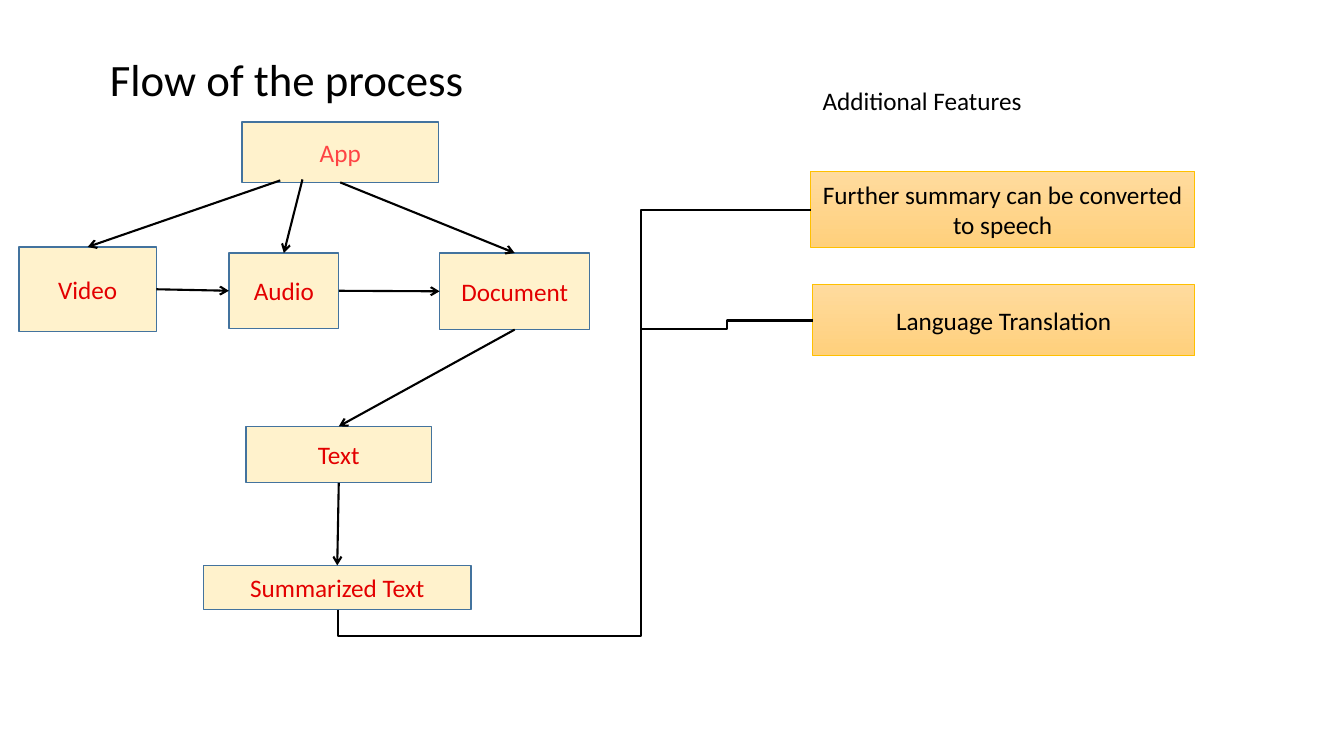
import lxml.etree
import pptx
import pptx.dml.color
import pptx.enum.shapes
import pptx.enum.text
import pptx.oxml.ns
import pptx.util

CELL = pptx.util.Inches(0.1)
COLUMNS, ROWS = 133.3, 75
ELBOW = pptx.enum.shapes.MSO_CONNECTOR.ELBOW
STRAIGHT = pptx.enum.shapes.MSO_CONNECTOR.STRAIGHT
TOP, LEFT, BOTTOM, RIGHT = range(4)
INK = "000000"


def cells(*counts):
    """Turn grid counts into lengths."""
    return [round(count * CELL) for count in counts]


def within(region, box):
    """Shift a box from its region's corner to the slide's."""
    left, top, width, height = box
    return cells(region[0] + left, region[1] + top, width, height)


def color(value):
    """Turn a hex string into a colour."""
    return pptx.dml.color.RGBColor.from_string(value)


def write(shape, text, size=18, ink=INK, align="LEFT", anchor="TOP", indent=1):
    """Put one formatted paragraph into a shape."""
    frame = shape.text_frame
    frame.word_wrap = True
    frame.auto_size = pptx.enum.text.MSO_AUTO_SIZE.NONE
    frame.vertical_anchor = getattr(pptx.enum.text.MSO_ANCHOR, anchor)
    frame.margin_left = cells(indent)[0]
    para = frame.paragraphs[0]
    para.alignment = getattr(pptx.enum.text.PP_ALIGN, align)
    span = para.add_run()
    span.text = text
    span.font.name = "Calibri"
    span.font.size = pptx.util.Pt(size)
    span.font.color.rgb = color(ink)


def add_box(slide, bounds, text, fills, edge, weight, ink):
    """Draw a labelled rectangle with a plain or shaded fill."""
    shape = slide.shapes.add_shape(pptx.enum.shapes.MSO_SHAPE.RECTANGLE, *bounds)
    shape.shadow.inherit = False
    if len(fills) == 1:
        shape.fill.solid()
        shape.fill.fore_color.rgb = color(fills[0])
    else:
        shape.fill.gradient()
        shape.fill.gradient_angle = 270
        for stop, value in zip(shape.fill.gradient_stops, fills):
            stop.color.rgb = color(value)
    shape.line.color.rgb = color(edge)
    shape.line.width = pptx.util.Pt(weight)
    write(shape, text, ink=ink, align="CENTER", anchor="MIDDLE")
    return shape


def add_line(slide, kind, start, end, arrow=False):
    """Draw a black connector, with an open arrowhead if asked."""
    line = slide.shapes.add_connector(kind, *cells(*start, *end))
    line.line.color.rgb = color(INK)
    line.line.width = pptx.util.Pt(1.5)
    properties = line._element.spPr
    lxml.etree.SubElement(properties, pptx.oxml.ns.qn("a:effectLst"))
    if arrow:
        outline = line.line._get_or_add_ln()
        lxml.etree.SubElement(outline, pptx.oxml.ns.qn("a:tailEnd"), type="arrow")
    return line


def add_title(slide, box):
    """Place the slide title."""
    title = slide.shapes.title
    title.left, title.top, title.width, title.height = cells(*box)
    write(title, "Flow of the process", size=32, indent=5)


def add_flow(slide, region):
    """Draw the process boxes and the arrows between them."""
    steps = {
        "App": (24, 12.1, 19.5, 6),
        "Video": (1.9, 24.5, 13.6, 8.4),
        "Audio": (22.7, 25.1, 10.9, 7.5),
        "Document": (43.6, 25.1, 14.9, 7.6),
        "Text": (24.4, 42.3, 18.4, 5.6),
        "Summarized Text": (20.2, 56.1, 26.5, 4.4),
    }
    boxes = {}
    for name, box in steps.items():
        ink = "FE4444" if name == "App" else "E30000"
        boxes[name] = add_box(slide, within(region, box), name,
                              ["FFF2CC"], "43739E", 1, ink)
    joins = [
        ("App", BOTTOM, "Document", TOP),
        ("Video", RIGHT, "Audio", LEFT),
        ("Audio", RIGHT, "Document", LEFT),
        ("Document", BOTTOM, "Text", TOP),
        ("Text", BOTTOM, "Summarized Text", TOP),
    ]
    for source, side, target, entry in joins:
        arrow = add_line(slide, STRAIGHT, (0, 0), (0, 0), arrow=True)
        arrow.begin_connect(boxes[source], side)
        arrow.end_connect(boxes[target], entry)
    for target, column, row in [("Video", 27.8, 17.9), ("Audio", 30, 17.8)]:
        start = (region[0] + column, region[1] + row)
        arrow = add_line(slide, STRAIGHT, start, start, arrow=True)
        arrow.end_connect(boxes[target], TOP)


def add_features(slide, region):
    """Draw the heading and boxes of the additional features."""
    heading = slide.shapes.add_textbox(*within(region, (0.2, 0, 41.4, 4)))
    write(heading, "Additional Features")
    features = [
        ("Further summary can be converted to speech", (0, 9, 38.1, 7.5)),
        ("Language Translation", (0.2, 20.2, 37.9, 7.1)),
    ]
    for text, box in features:
        add_box(slide, within(region, box), text, ["FFDB9E", "FFD07C"],
                "FFC000", 0.5, INK)


def add_routes(slide, region):
    """Route the summary to both features."""
    left, top, width, height = region
    trunk = add_line(slide, ELBOW, (left, top + height), (left + width, top))
    trunk.left, trunk.top, trunk.width, trunk.height = cells(
        left + (width - height) / 2, top + (height - width) / 2, height, width)
    frame = trunk._element.spPr.find(pptx.oxml.ns.qn("a:xfrm"))
    for name, value in [("rot", "5400000"), ("flipH", "1"), ("flipV", "1")]:
        frame.set(name, value)
    geometry = trunk._element.spPr.find(pptx.oxml.ns.qn("a:prstGeom"))
    geometry.set("prst", "bentConnector4")
    guides = geometry.find(pptx.oxml.ns.qn("a:avLst"))
    for name, value in [("adj1", -6600), ("adj2", 64100)]:
        lxml.etree.SubElement(guides, pptx.oxml.ns.qn("a:gd"),
                              name=name, fmla=f"val {value}")
    add_line(slide, ELBOW, (left + 30.1, top + 11.8), (left + 47.1, top + 11))


def main():
    """Build the slide and save it."""
    deck = pptx.Presentation()
    deck.slide_width, deck.slide_height = cells(COLUMNS, ROWS)
    slide = deck.slides.add_slide(deck.slide_layouts[5])
    add_title(slide, (5.9, 4.6, 46.3, 6.4))
    add_flow(slide, (0, 0, 60, ROWS))
    add_features(slide, (80.4, 8, 41.6, 27.3))
    add_routes(slide, (33.5, 20.8, 46.9, 39.7))
    deck.save("out.pptx")


if __name__ == "__main__":
    main()
